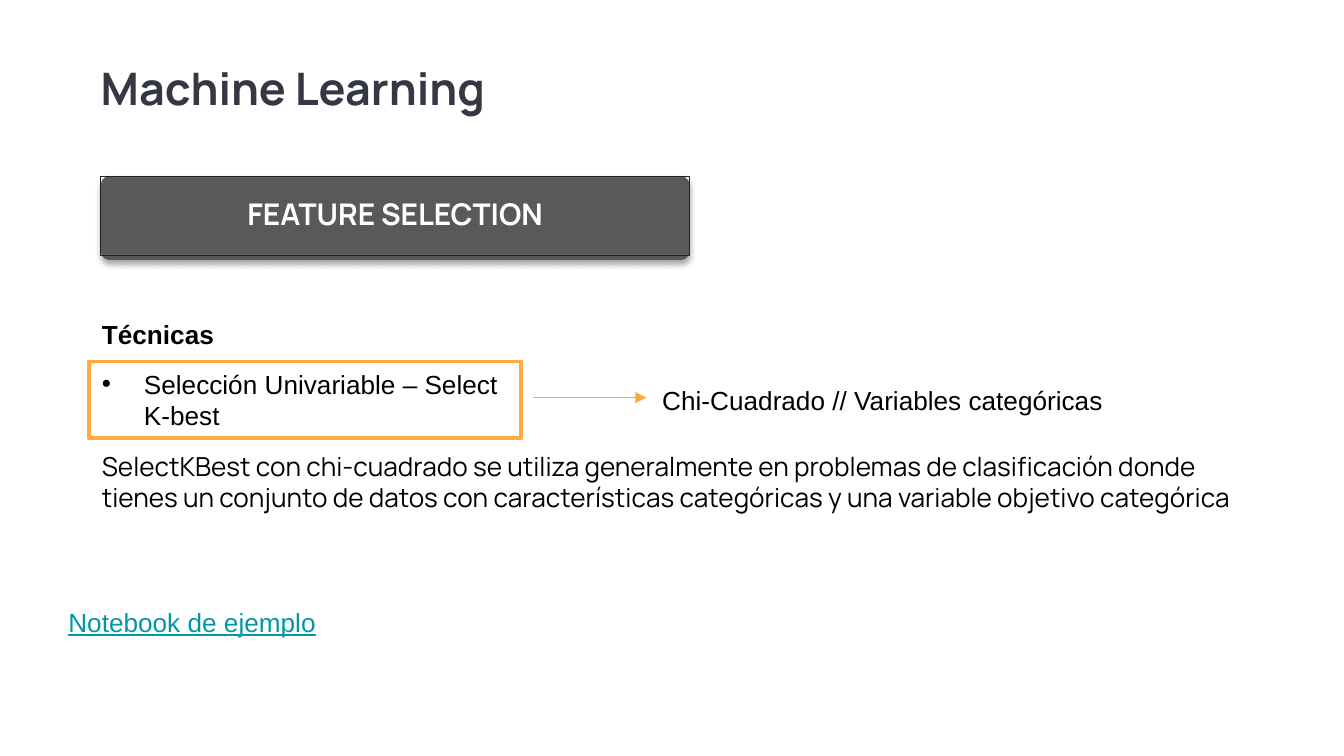
import pptx
import pptx.util
import pptx.dml.color
import pptx.enum.shapes
import pptx.enum.text
import pptx.oxml.ns
from lxml import etree

Pt = pptx.util.Pt
RGBColor = pptx.dml.color.RGBColor
SHAPE = pptx.enum.shapes.MSO_SHAPE
ALIGN = pptx.enum.text.PP_ALIGN
ANCHOR = pptx.enum.text.MSO_ANCHOR
qn = pptx.oxml.ns.qn

BLACK = RGBColor(0x00, 0x00, 0x00)
WHITE = RGBColor(0xFF, 0xFF, 0xFF)
NAVY = RGBColor(0x35, 0x37, 0x44)
GREY = RGBColor(0x59, 0x59, 0x59)
DARK = RGBColor(0x21, 0x21, 0x21)
ORANGE = RGBColor(0xFF, 0xAB, 0x40)
ARROW = RGBColor(0xFE, 0xA8, 0x3A)
TEAL = RGBColor(0x00, 0x97, 0xA7)


def write(s, text, size=14, font="Arial", color=BLACK, bold=False, underline=False,
          align=ALIGN.LEFT, anchor=ANCHOR.TOP, insets=(7.2, 3.6), spacing=None):
    """Put one styled run into a shape and return its paragraph."""
    tf = s.text_frame
    tf.word_wrap = True
    tf.vertical_anchor = anchor
    tf.margin_left = tf.margin_right = Pt(insets[0])
    tf.margin_top = tf.margin_bottom = Pt(insets[1])
    p = tf.paragraphs[0]
    p.alignment = align
    p.line_spacing = spacing
    r = p.add_run()
    r.text = text
    r.font.name, r.font.size, r.font.bold = font, Pt(size), bold
    r.font.underline = underline
    r.font.color.rgb = color
    return p


def add_label(slide, x, y, w, h, text, **style):
    """Add a wrapped text box."""
    return write(slide.shapes.add_textbox(Pt(x), Pt(y), Pt(w), Pt(h)), text, **style)


def add_box(slide, kind, x, y, w, h, fill=None, line=None, width=0.75):
    """Add a shape without shadow, with optional fill and outline."""
    s = slide.shapes.add_shape(kind, Pt(x), Pt(y), Pt(w), Pt(h))
    s.shadow.inherit = False
    if fill is None:
        s.fill.background()
    else:
        s.fill.solid()
        s.fill.fore_color.rgb = fill
    if line is None:
        s.line.fill.background()
    else:
        s.line.color.rgb = line
        s.line.width = Pt(width)
    return s


def add_drop_shadow(s, blur, distance, opacity):
    """Give a shape a soft black shadow straight below it."""
    effects = s._element.spPr.find(qn("a:effectLst"))
    shadow = etree.SubElement(effects, qn("a:outerShdw"), blurRad=str(Pt(blur)),
                              dist=str(Pt(distance)), dir="5400000", rotWithShape="0")
    color = etree.SubElement(shadow, qn("a:srgbClr"), val=str(BLACK))
    etree.SubElement(color, qn("a:alpha"), val=str(opacity * 1000))


def add_bullet(p, indent):
    """Give a paragraph a black round bullet with a hanging indent."""
    pPr = p._p.get_or_add_pPr()
    pPr.set("marL", str(Pt(indent)))
    pPr.set("indent", str(-Pt(indent)))
    color = etree.SubElement(pPr, qn("a:buClr"))
    etree.SubElement(color, qn("a:srgbClr"), val=str(BLACK))
    etree.SubElement(pPr, qn("a:buFont"), typeface="Arial")
    etree.SubElement(pPr, qn("a:buChar"), char="•")


def add_arrow(slide, x, y, length):
    """Add a horizontal arrow pointing right."""
    s = slide.shapes.add_connector(pptx.enum.shapes.MSO_CONNECTOR.STRAIGHT,
                                   Pt(x), Pt(y), Pt(x + length), Pt(y))
    s.line.color.rgb = ARROW
    s.line.width = Pt(0.75)
    etree.SubElement(s.line._get_or_add_ln(), qn("a:tailEnd"), type="triangle")
    etree.SubElement(s._element.spPr, qn("a:effectLst"))


def add_banner(slide, x, y, w, h, text):
    """Add the raised section banner with its outlined caption."""
    s = add_box(slide, SHAPE.ROUNDED_RECTANGLE, x, y, w, h, fill=GREY)
    s.adjustments[0] = 0.1
    add_drop_shadow(s, 3.1, 1.8, 35)
    s = add_box(slide, SHAPE.RECTANGLE, x, y, w, h - 2.4, line=DARK)
    write(s, text, size=16, font="Manrope", color=WHITE, bold=True, align=ALIGN.CENTER,
          anchor=ANCHOR.MIDDLE, insets=(5, 5), spacing=0.9)


def add_technique(slide, x, y, w, h):
    """Add the technique heading, its framed bullet, the arrow and the explanation."""
    top, column, label = y + 26.6, 231.8, 24.5
    add_label(slide, x, y, column, label, "Técnicas", bold=True)
    s = add_box(slide, SHAPE.RECTANGLE, x, top, column, 41.2,
                fill=WHITE, line=ORANGE, width=2)
    add_bullet(write(s, "Selección Univariable – Select K-best"), 22.5)
    add_arrow(slide, x + column + 6.5, top + 19.4, 60.5)
    add_label(slide, x + 300.2, y + 35.3, 277.9, label,
              "Chi-Cuadrado // Variables categóricas")
    add_label(slide, x, y + 70.6, w, h - 70.6,
              "SelectKBest con chi-cuadrado se utiliza generalmente en problemas de "
              "clasificación donde tienes un conjunto de datos con características "
              "categóricas y una variable objetivo categórica", font="Manrope")


def main():
    """Build and save the slide."""
    prs = pptx.Presentation()
    prs.slide_width, prs.slide_height = Pt(720), Pt(405)
    slide = prs.slides.add_slide(prs.slide_layouts[6])
    add_label(slide, 54, 36, 535.7, 31, "Machine Learning", size=24, font="Manrope",
              color=NAVY, bold=True, insets=(0, 0), spacing=0.9)
    add_banner(slide, 54, 94.5, 315.4, 44.8, "FEATURE SELECTION")
    add_technique(slide, 47.5, 167, 630.7, 129)
    add_label(slide, 29.5, 321.1, 198, 24.5, "Notebook de ejemplo",
              color=TEAL, underline=True)
    prs.save("out.pptx")


if __name__ == "__main__":
    main()
